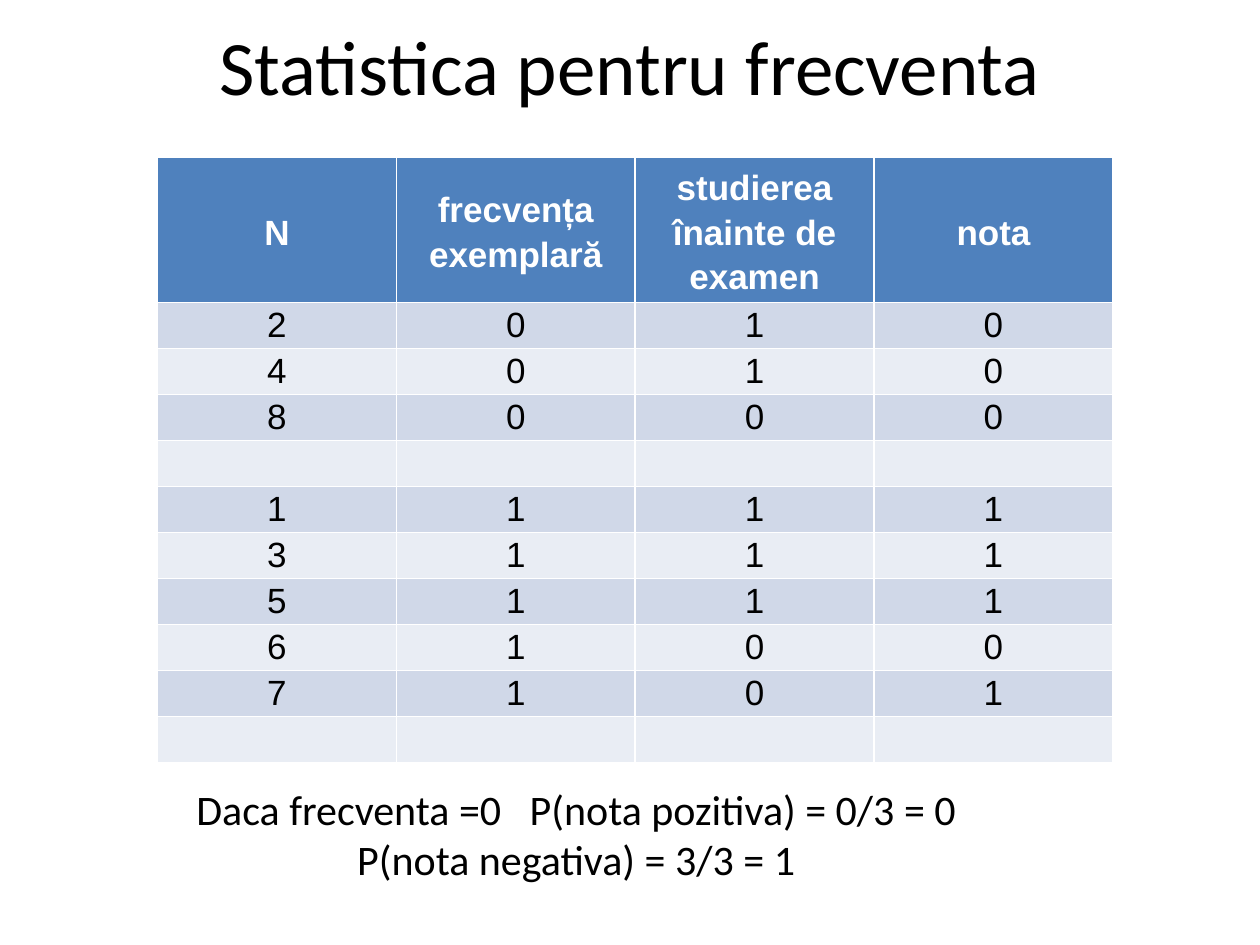
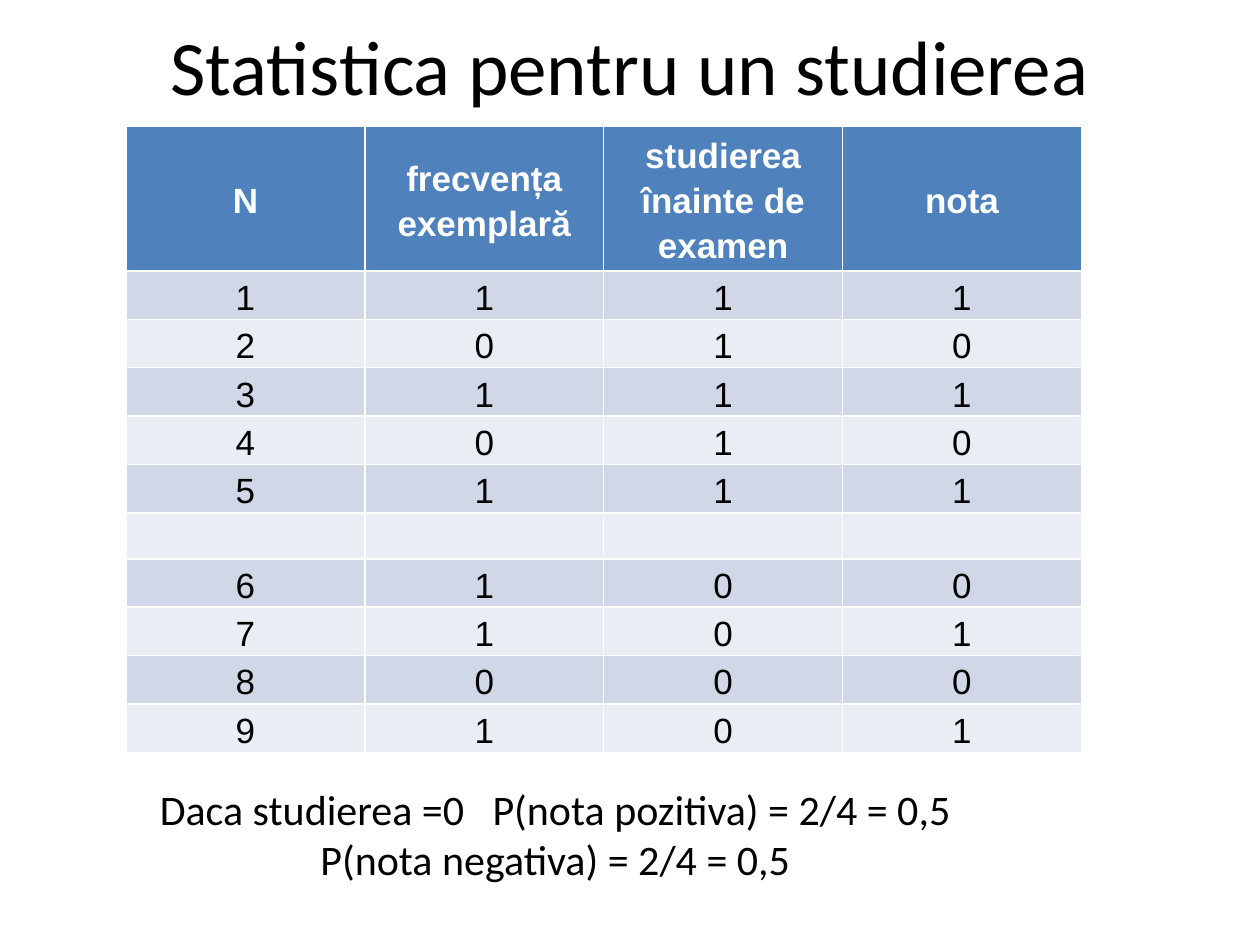
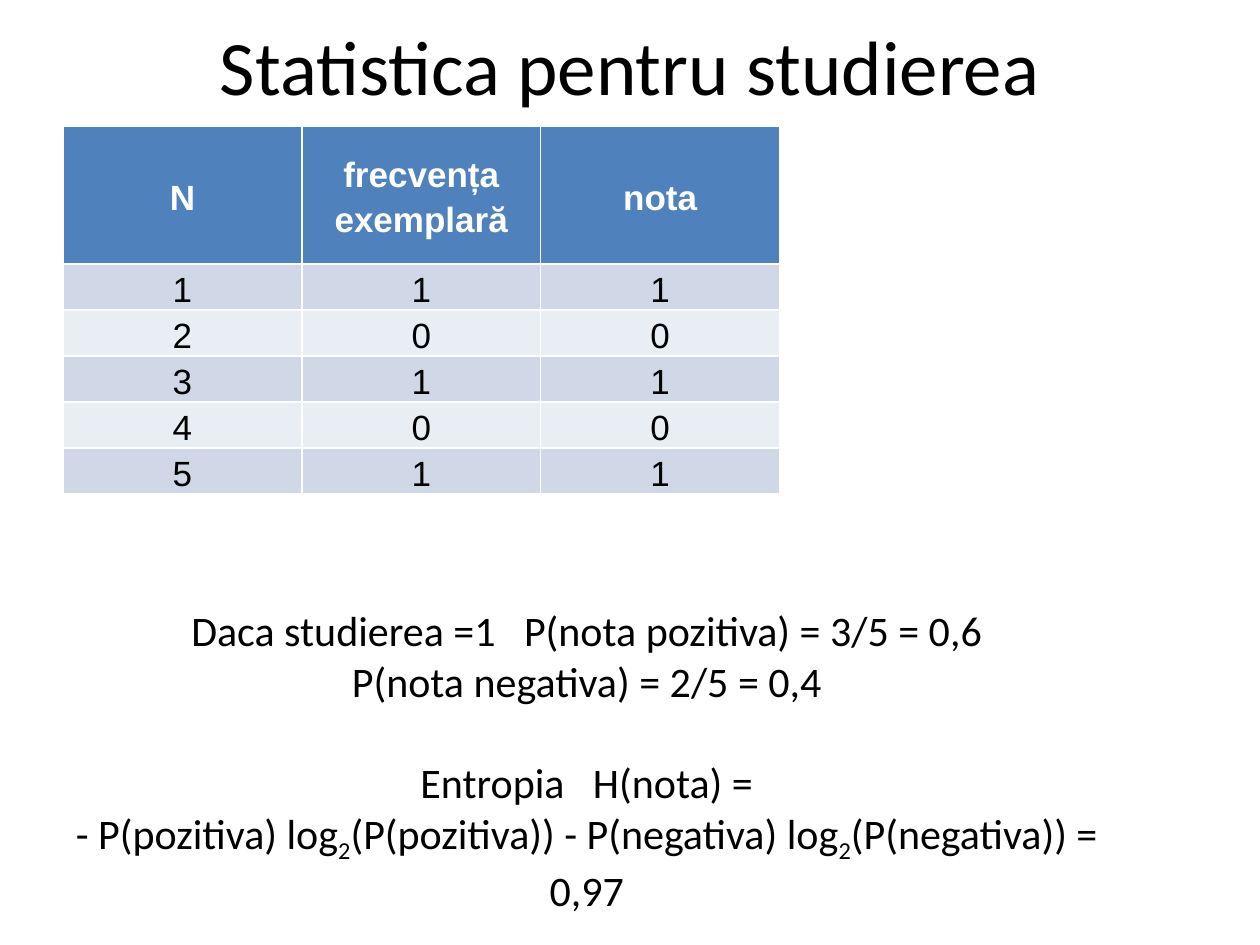
"""Build three slides of exam statistics, each with a table and its probabilities."""
import pptx
import pptx.dml.color
import pptx.enum.text
import pptx.util

Pt = pptx.util.Pt
RGBColor = pptx.dml.color.RGBColor
CENTER = pptx.enum.text.PP_ALIGN.CENTER
MIDDLE = pptx.enum.text.MSO_ANCHOR.MIDDLE

BLACK = RGBColor(0x00, 0x00, 0x00)
WHITE = RGBColor(0xFF, 0xFF, 0xFF)
HEADER_BLUE = RGBColor(0x4F, 0x81, 0xBD)
BANDS = (RGBColor(0xD0, 0xD8, 0xE8), RGBColor(0xE9, 0xED, 0xF4))

COLUMN_WIDTH = 136.5
ROW_HEIGHT = 26.3
NOTE_WIDTH = 678
CONDITION_MARGIN = 43.4
LINE_HEIGHT = 29.3

HEADERS = ("N", "frecvența exemplară", "studierea înainte de examen", "nota")
BY_ATTENDANCE = ("2010", "4010", "8000", "", "1111", "3111", "5111", "6100", "7101", "")
BY_STUDY = ("1111", "2010", "3111", "4010", "5111", "", "6100", "7101", "8000", "9101")
STUDIED = ("111", "200", "311", "400", "511")


def style_paragraph(para, font_name, size, color, bold=False):
    """Centre a paragraph and set its font."""
    para.alignment = CENTER
    para.font.name = font_name
    para.font.size = Pt(size)
    para.font.color.rgb = color
    para.font.bold = bold


def add_titled_page(deck, title):
    """Add a title-only page with its heading across the top."""
    page = deck.slides.add_slide(deck.slide_layouts[5])
    heading = page.shapes.title
    heading.left, heading.top, heading.width, heading.height = Pt(36), Pt(6), Pt(648), Pt(62.5)
    heading.text_frame.text = title
    heading.text_frame.vertical_anchor = MIDDLE
    style_paragraph(heading.text_frame.paragraphs[0], "Calibri", 44, BLACK)
    return page


def fill_cell(cell, text, fill, color, bold, spaced):
    """Write one table cell and colour it."""
    cell.fill.solid()
    cell.fill.fore_color.rgb = fill
    cell.vertical_anchor = MIDDLE
    cell.margin_left = cell.margin_right = Pt(5)
    cell.margin_top = cell.margin_bottom = Pt(0)
    if text:
        cell.text = text
        para = cell.text_frame.paragraphs[0]
        style_paragraph(para, "Arial", 20, color, bold)
        if spaced:
            para.line_spacing = 1.15
            para.space_after = Pt(10)


def add_exam_table(page, left, top, headers, records, header_height,
                   record_height=ROW_HEIGHT, spaced=True):
    """Add a banded table; each record holds one digit per column."""
    heights = [header_height] + [record_height if record else ROW_HEIGHT for record in records]
    table = page.shapes.add_table(
        len(heights), len(headers), Pt(left), Pt(top),
        Pt(COLUMN_WIDTH * len(headers)), Pt(sum(heights))).table
    for column in table.columns:
        column.width = Pt(COLUMN_WIDTH)
    for row, height in zip(table.rows, heights):
        row.height = Pt(height)
    for column_index, header in enumerate(headers):
        fill_cell(table.cell(0, column_index), header, HEADER_BLUE, WHITE, True, True)
        for row_index, record in enumerate(records):
            digit = record[column_index] if record else ""
            fill_cell(table.cell(row_index + 1, column_index), digit,
                      BANDS[row_index % 2], BLACK, False, spaced)


def add_note(page, left, top, height, lines):
    """Add centred lines, the first one set off to the left of the rest."""
    box = page.shapes.add_textbox(Pt(left), Pt(top), Pt(NOTE_WIDTH), Pt(height))
    frame = box.text_frame
    frame.word_wrap = True
    for index, line in enumerate(lines):
        para = frame.paragraphs[0] if index == 0 else frame.add_paragraph()
        style_paragraph(para, "Calibri", 24, BLACK)
        for part_index, part in enumerate(line.split("_")):
            if part_index:
                subscript = para.add_run()
                subscript.text = part[0]
                subscript.font._element.set("baseline", "-25000")
                part = part[1:]
            span = para.add_run()
            span.text = part
    frame.paragraphs[0]._p.get_or_add_pPr().set("marR", str(Pt(CONDITION_MARGIN)))
    return frame


def main():
    """Build and save the deck."""
    deck = pptx.Presentation()
    deck.slide_width, deck.slide_height = Pt(720), Pt(540)

    page = add_titled_page(deck, "Statistica pentru frecventa")
    add_note(page, 12, 444, 65.5, (
        "Daca frecventa =0   P(nota pozitiva) = 0/3 = 0",
        "P(nota negativa) = 3/3 = 1"))
    add_exam_table(page, 90, 90, HEADERS, BY_ATTENDANCE, 82.3, spaced=False)

    page = add_titled_page(deck, "Statistica pentru un studierea")
    add_note(page, 0, 444, 65.5, (
        "Daca studierea =0   P(nota pozitiva) = 2/4 = 0,5",
        "P(nota negativa) = 2/4 = 0,5"))
    add_exam_table(page, 72, 72, HEADERS, BY_STUDY, 82.3, record_height=27.6)

    page = add_titled_page(deck, "Statistica pentru studierea")
    add_exam_table(page, 36, 72, HEADERS[:2] + HEADERS[3:], STUDIED, 79)
    frame = add_note(page, 18, 342, 181.5, (
        "Daca studierea =1   P(nota pozitiva) = 3/5 = 0,6",
        "P(nota negativa) = 2/5 = 0,4",
        "Entropia   H(nota) =",
        "- P(pozitiva) log_2(P(pozitiva)) - P(negativa) log_2(P(negativa)) = 0,97"))
    frame.paragraphs[2].space_before = Pt(LINE_HEIGHT)

    deck.save("out.pptx")


if __name__ == "__main__":
    main()
